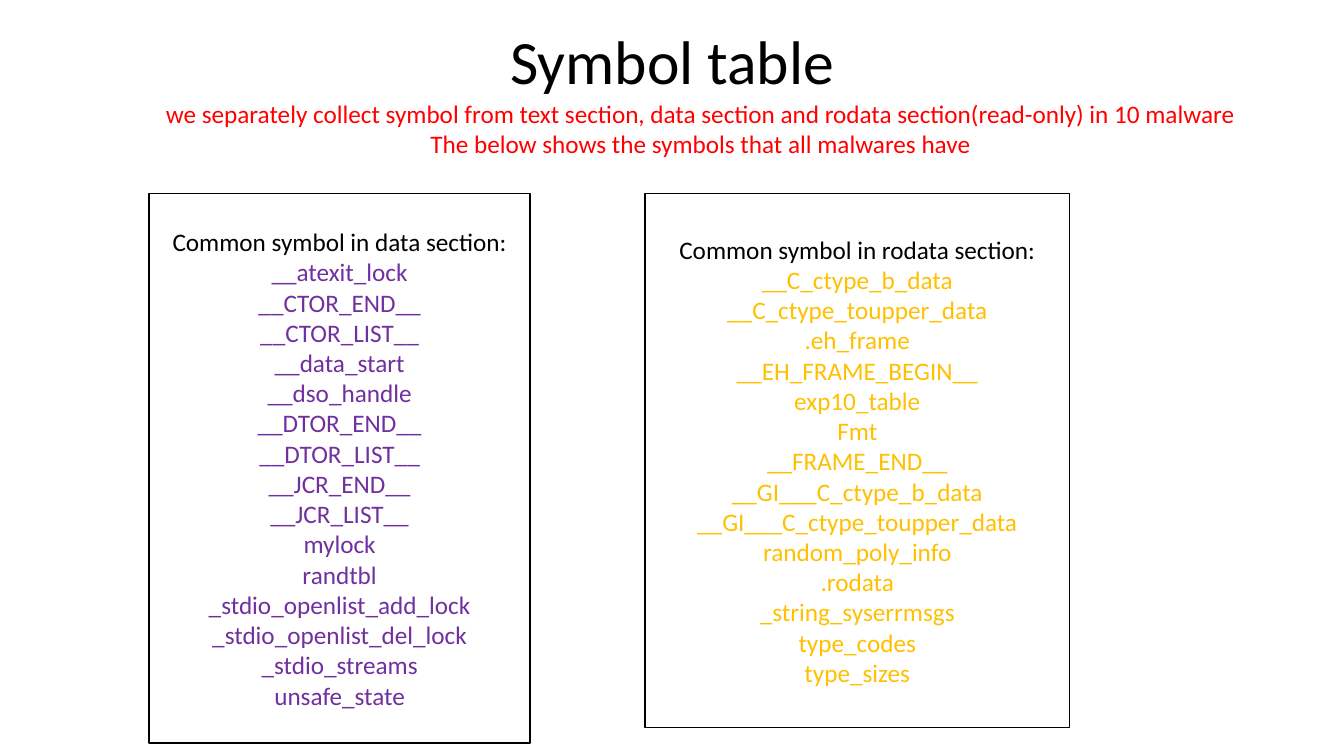
from pptx import Presentation
from pptx.dml.color import RGBColor
from pptx.enum import shapes, text
from pptx.util import Cm, Pt

BLACK = RGBColor(0x00, 0x00, 0x00)
RED = RGBColor(0xFF, 0x00, 0x00)
PURPLE = RGBColor(0x70, 0x30, 0xA0)
GOLD = RGBColor(0xFF, 0xC0, 0x00)

TITLE = "Symbol table"
INTRO = [
    "we separately collect symbol from text section, data section and "
    "rodata section(read-only) in 10 malware",
    "The below shows the symbols that all malwares have",
]
DATA = [
    "__atexit_lock", "__CTOR_END__", "__CTOR_LIST__", "__data_start",
    "__dso_handle", "__DTOR_END__", "__DTOR_LIST__", "__JCR_END__",
    "__JCR_LIST__", "mylock", "randtbl", "_stdio_openlist_add_lock",
    "_stdio_openlist_del_lock", "_stdio_streams", "unsafe_state",
]
RODATA = [
    "__C_ctype_b_data", "__C_ctype_toupper_data", ".eh_frame",
    "__EH_FRAME_BEGIN__", "exp10_table", "Fmt", "__FRAME_END__",
    "__GI___C_ctype_b_data", "__GI___C_ctype_toupper_data",
    "random_poly_info", ".rodata", "_string_syserrmsgs", "type_codes",
    "type_sizes",
]
# section, symbols, colour, left, width, height (cm)
PANELS = [
    ("data", DATA, PURPLE, 3.76, 9.6, 13.84),
    ("rodata", RODATA, GOLD, 16.26, 10.69, 13.46),
]
TOP = 4.88


def write(shape, lines, size=18):
    """Fill a shape with centred (text, colour) lines."""
    frame = shape.text_frame
    frame.word_wrap = True
    frame.vertical_anchor = text.MSO_ANCHOR.MIDDLE
    for i, (line, colour) in enumerate(lines):
        para = frame.add_paragraph() if i else frame.paragraphs[0]
        para.text = line
        para.alignment = text.PP_ALIGN.CENTER
        para.font.name = "Calibri"
        para.font.size = Pt(size)
        para.font.color.rgb = colour


deck = Presentation()
deck.slide_width, deck.slide_height = Cm(33.87), Cm(19.05)
slide = deck.slides.add_slide(deck.slide_layouts[6])

title = slide.shapes.add_textbox(Cm(2.34), Cm(0), Cm(29.21), Cm(3.25))
write(title, [(TITLE, BLACK)], 44)
title.text_frame.paragraphs[0].line_spacing = 0.9

intro = slide.shapes.add_textbox(Cm(3.76), Cm(1.96), Cm(27.79), Cm(2.54))
write(intro, [(line, RED) for line in INTRO])

for section, symbols, colour, left, width, height in PANELS:
    panel = slide.shapes.add_shape(
        shapes.MSO_SHAPE.RECTANGLE, Cm(left), Cm(TOP), Cm(width), Cm(height))
    panel.shadow.inherit = False
    panel.fill.background()
    panel.line.color.rgb = BLACK
    panel.line.width = Pt(1)
    head = (f"Common symbol in {section} section:", BLACK)
    write(panel, [head] + [(name, colour) for name in symbols])

deck.save("out.pptx")
